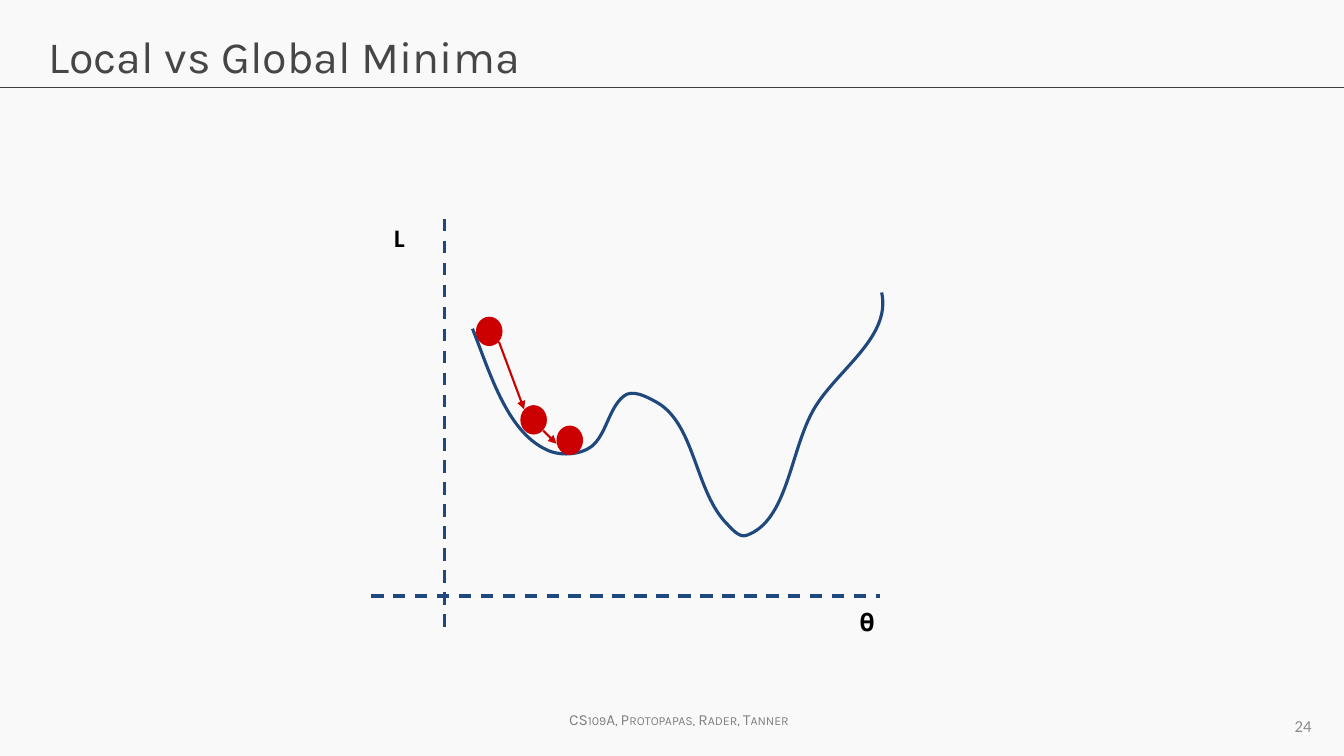
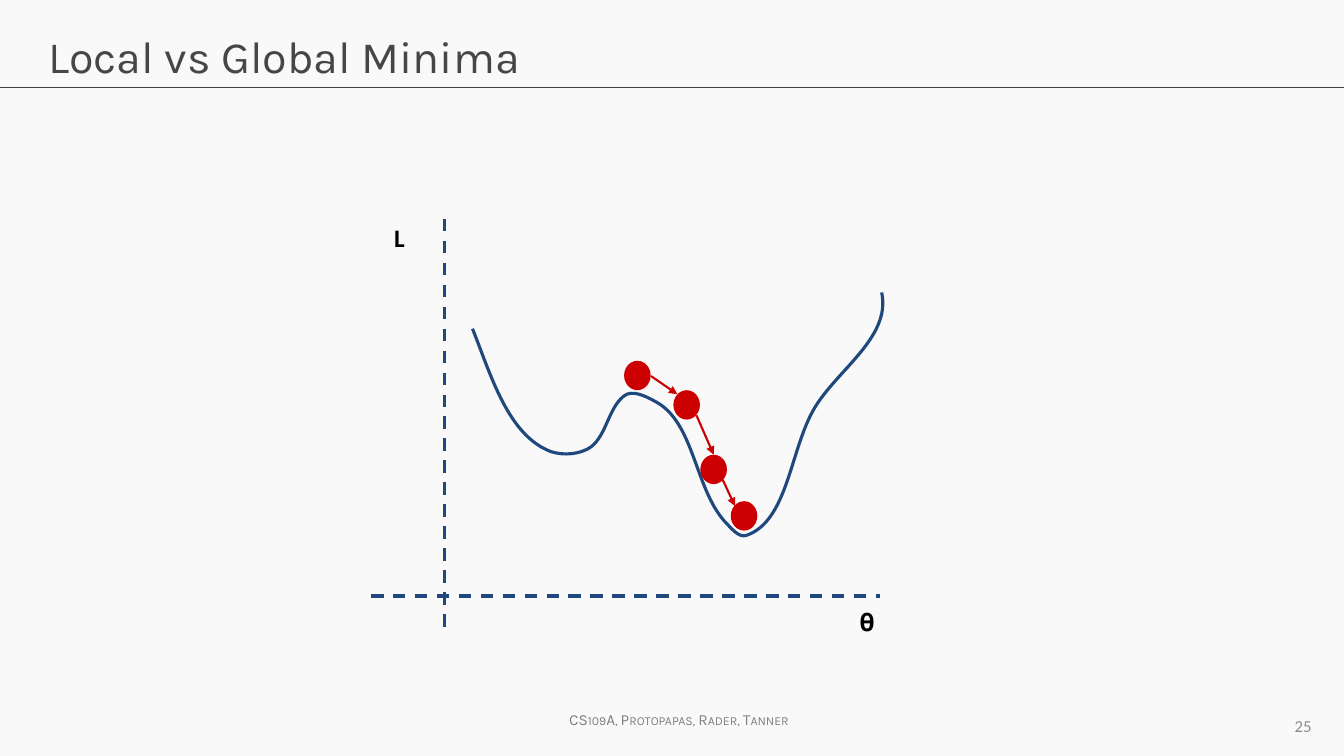
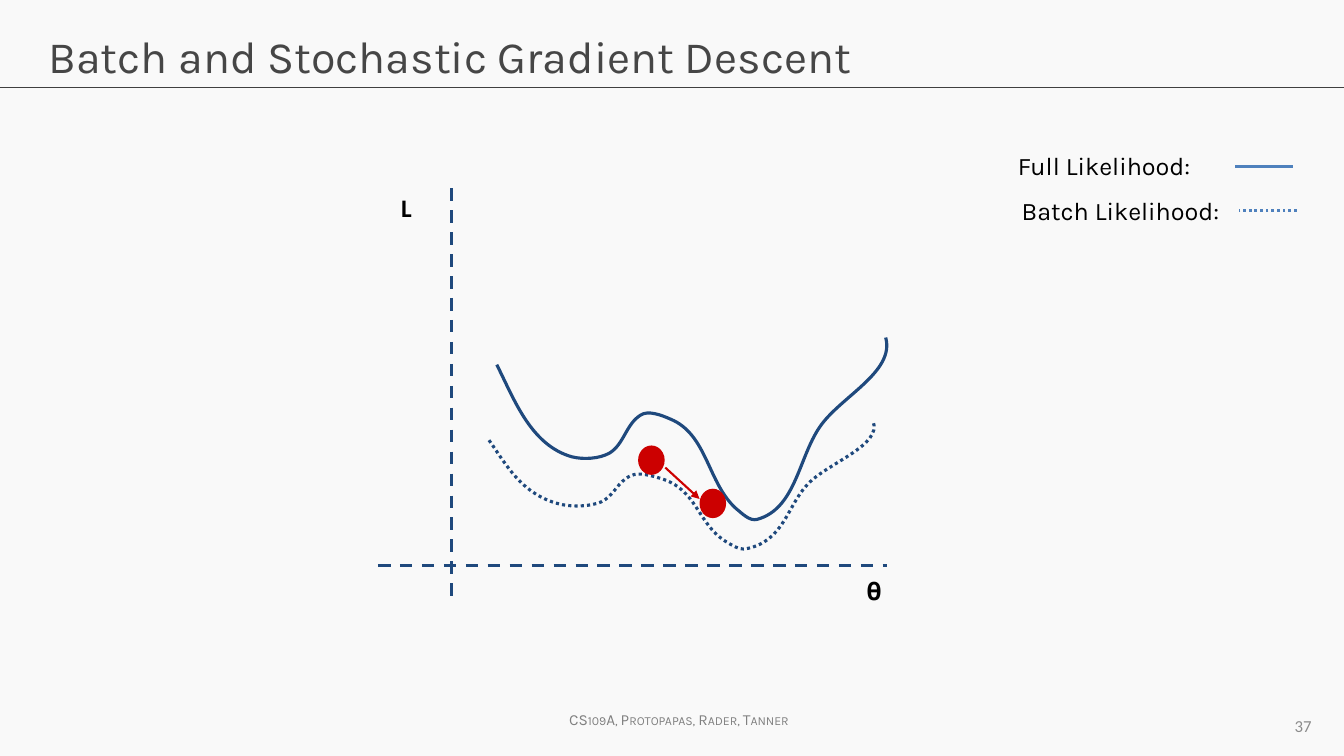
from pptx import Presentation
from pptx.dml.color import RGBColor
from pptx.enum import dml, shapes, text
from pptx.oxml.ns import qn
from pptx.util import Pt

NAVY, BLUE, RED = "1F497D", "4F81BD", "CC0000"
BLACK, TITLE_GREY, RULE_GREY = "000000", "464646", "404040"
FOOTER_GREY, NUMBER_GREY, PAPER = "808080", "8C8C8C", "F9F9F9"
DASH, DOT = dml.MSO_LINE.DASH, dml.MSO_LINE.ROUND_DOT
WIDTH, HEIGHT = 960, 540
BALL_W, BALL_H = 19, 21

# Loss curve: a start and Bezier segments (two controls and an end),
# drawn on a grid of 407 by 242 units.
GRID_W, GRID_H = 407, 242
CURVE_START = (0, 36)
CURVE_SEGMENTS = [
    ((18, 81), (35, 142), (78, 158)),
    ((90, 162), (107, 161), (118, 153)),
    ((133, 141), (135, 115), (150, 103)),
    ((158, 96), (172, 103), (181, 108)),
    ((220, 128), (220, 193), (250, 227)),
    ((256, 233), (264, 244), (272, 241)),
    ((312, 227), (315, 160), (337, 119)),
    ((358, 79), (416, 46), (406, 0)),
]


def rgb(hex_colour):
    return RGBColor.from_string(hex_colour)


def style_line(line, colour, width, dash=None):
    line.color.rgb = rgb(colour)
    line.width = Pt(width)
    if dash:
        line.dash_style = dash


def add_line(s, start, end, colour, width, dash=None, arrow=False):
    line = s.shapes.add_connector(
        shapes.MSO_CONNECTOR.STRAIGHT, *(Pt(v) for v in (*start, *end)))
    style_line(line.line, colour, width, dash)
    props = line._element.spPr
    if arrow:
        ln = props.find(qn("a:ln"))
        ln.append(ln.makeelement(qn("a:tailEnd"), {"type": "triangle"}))
    props.append(props.makeelement(qn("a:effectLst"), {}))


def add_text(s, box, words, size, colour, font="Karla", bold=False,
             align=text.PP_ALIGN.LEFT, anchor=text.MSO_ANCHOR.TOP,
             wrap=True, margin=3.6):
    """Add a one-paragraph text box and return its paragraph."""
    tf = s.shapes.add_textbox(*(Pt(v) for v in box)).text_frame
    tf.word_wrap = wrap
    tf.vertical_anchor = anchor
    tf.margin_top = tf.margin_bottom = Pt(margin)
    p = tf.paragraphs[0]
    p.text = words
    p.alignment = align
    p.font.size = Pt(size)
    p.font.name = font
    p.font.bold = bold
    p.font.color.rgb = rgb(colour)
    return p


def add_frame(prs, title, number):
    """Add a slide with the shared title, rule, footer and number."""
    s = prs.slides.add_slide(prs.slide_layouts[6])
    add_line(s, (0, 62.2), (WIDTH, 62.2), RULE_GREY, 0.75)
    p = add_text(s, (395, 504, 180, 21), "CS109A, Protopapas, Rader, Tanner",
                 11, FOOTER_GREY, align=text.PP_ALIGN.CENTER, wrap=False)
    p.runs[0].font._element.set("cap", "small")
    add_text(s, (27.5, 16.8, 905, 60), title, 32, TITLE_GREY)
    add_text(s, (720, 504, 224, 29), str(number), 12, NUMBER_GREY, "Calibri",
             align=text.PP_ALIGN.RIGHT, anchor=text.MSO_ANCHOR.MIDDLE)
    return s


def add_axes(s, x, y):
    """Draw the dashed axes and their labels from the plot corner."""
    add_line(s, (x + 52.5, y), (x + 52.5, y + 296.5), NAVY, 2.25, DASH)
    add_line(s, (x, y + 269.3), (x + 363.5, y + 269.3), NAVY, 2.25, DASH)
    for dx, dy, label, bold in ((9.5, -4.5, "L", True),
                                (342, 269.3, "𝛉", False)):
        add_text(s, (x + dx, y + dy, 43, 50), label, 18, BLACK, "Calibri",
                 bold, margin=7.2)


def add_curve(s, x, y, w, h, dash=None):
    """Draw the loss curve scaled into a box."""
    builder = s.shapes.build_freeform(
        *CURVE_START, scale=(Pt(w) / GRID_W, Pt(h) / GRID_H))
    builder.add_line_segments([seg[-1] for seg in CURVE_SEGMENTS],
                              close=False)
    curve = builder.convert_to_shape(Pt(x), Pt(y))
    # Bend each straight segment by giving it its two control points.
    straights = list(curve._element.iter(qn("a:lnTo")))
    for straight, segment in zip(straights, CURVE_SEGMENTS):
        bend = straight.makeelement(qn("a:cubicBezTo"), {})
        for px, py in segment:
            bend.append(bend.makeelement(
                qn("a:pt"), {"x": str(px), "y": str(py)}))
        straight.getparent().replace(straight, bend)
    curve.fill.background()
    curve.shadow.inherit = False
    style_line(curve.line, NAVY, 2.25, dash)


def add_descent(s, x, y, balls, arrows):
    """Place balls and the arrows between them from the plot corner."""
    for bx, by in balls:
        ball = s.shapes.add_shape(
            shapes.MSO_SHAPE.OVAL, Pt(x + bx), Pt(y + by),
            Pt(BALL_W), Pt(BALL_H))
        ball.fill.solid()
        ball.fill.fore_color.rgb = rgb(RED)
        ball.line.fill.background()
        ball.shadow.inherit = False
    for x1, y1, x2, y2 in arrows:
        add_line(s, (x + x1, y + y1), (x + x2, y + y2), RED, 1.5, arrow=True)


def add_legend(s, x, y):
    entries = (("Full Likelihood:", 0, 143, None),
               ("Batch Likelihood:", 2.7, 162, DOT))
    for i, (label, dx, width, dash) in enumerate(entries):
        left, top = x + dx, y + 31.8 * i
        add_text(s, (left, top, width, 29), label, 18, BLACK, wrap=False)
        add_line(s, (left + 203.5, top + 14.8), (left + 162, top + 14.8),
                 BLUE, 2, dash)


def add_plot_slide(prs, title, number, corner, curves, balls, arrows):
    s = add_frame(prs, title, number)
    x, y = corner
    add_axes(s, x, y)
    for dx, dy, w, h, dash in curves:
        add_curve(s, x + dx, y + dy, w, h, dash)
    add_descent(s, x, y, balls, arrows)
    return s


def main():
    prs = Presentation()
    prs.slide_width, prs.slide_height = Pt(WIDTH), Pt(HEIGHT)
    background = prs.slide_master.background.fill
    background.solid()
    background.fore_color.rgb = rgb(PAPER)

    minima = "Local vs Global Minima"
    corner = (265, 156.4)
    curves = [(72.5, 52.5, 293, 174.2, None)]
    add_plot_slide(
        prs, minima, 24, corner, curves,
        balls=[(75, 69.8), (106.7, 133), (132.5, 147.6)],
        arrows=[(91.4, 87.8, 109.4, 136), (123, 151.2, 132.5, 160.6)])
    add_plot_slide(
        prs, minima, 25, corner, curves,
        balls=[(180.8, 101.3), (216, 122.3), (235.3, 168.4), (257, 201.6)],
        arrows=[(200, 112.2, 218.8, 125.2), (232.5, 140.3, 244.8, 168.4),
                (251.3, 186.4, 260, 205.1)])
    s = add_plot_slide(
        prs, "Batch and Stochastic Gradient Descent", 37, (270, 134.5),
        [(79.3, 166.3, 275, 91.5, DOT), (84.8, 106.6, 278.5, 130.4, None)],
        balls=[(185.8, 183.7), (229.7, 214.6)],
        arrows=[(205.2, 199.5, 229.7, 221.9)])
    add_legend(s, 720, 104)
    prs.save("out.pptx")


if __name__ == "__main__":
    main()
